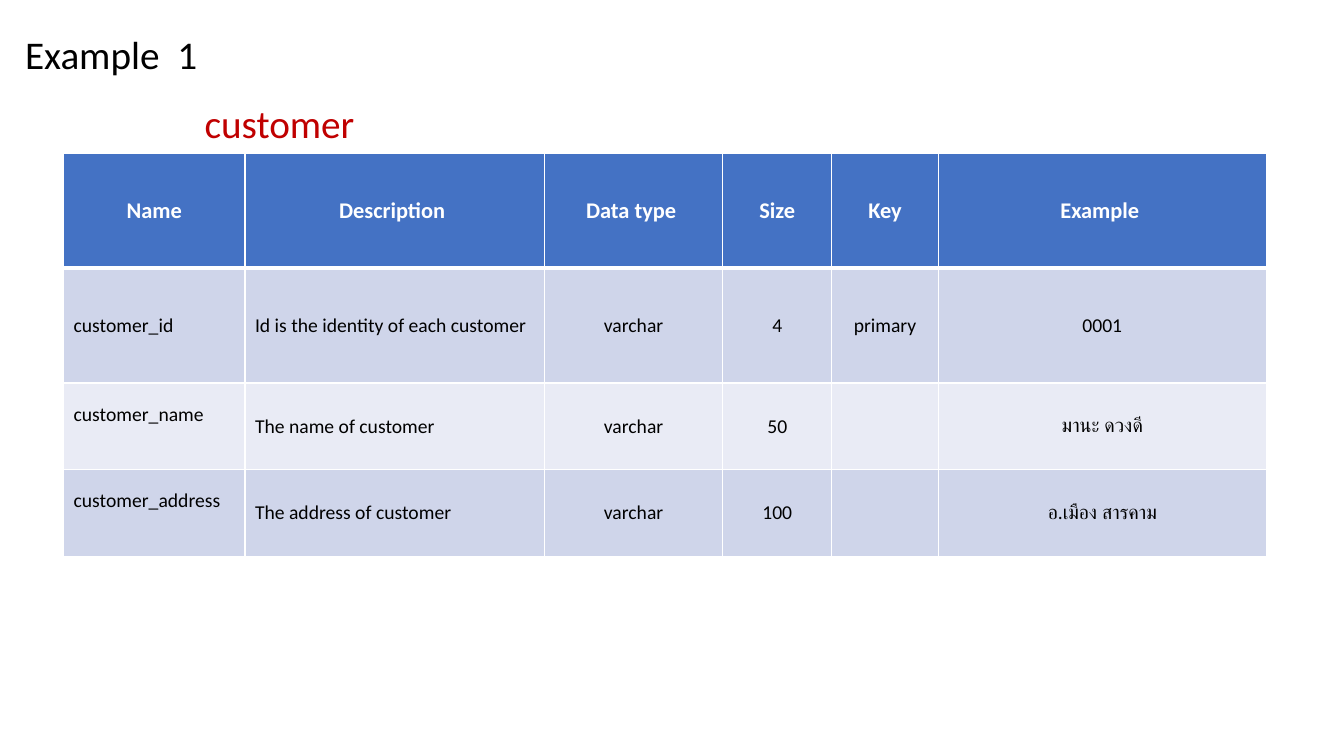
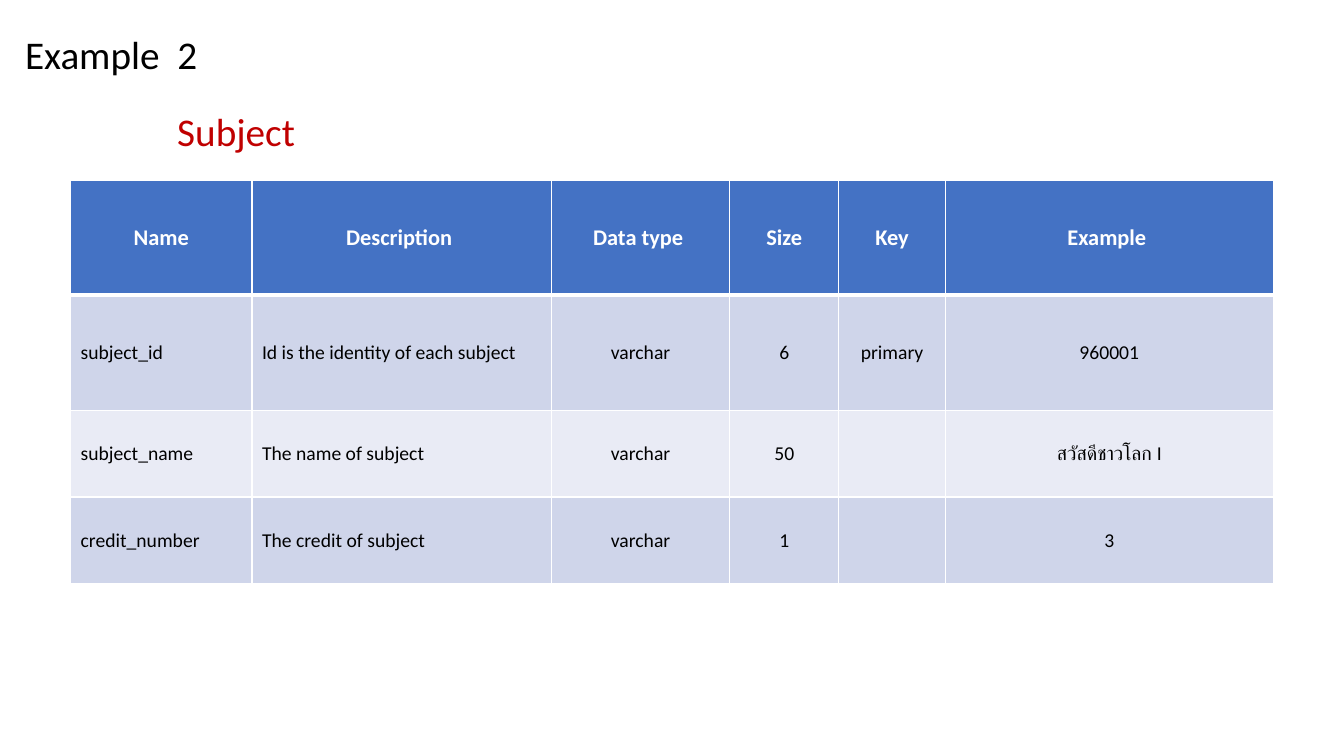
from lxml.etree import SubElement
from pptx import Presentation
from pptx.dml.color import RGBColor as Rgb
from pptx.enum.text import MSO_ANCHOR as Anchor, MSO_AUTO_SIZE as AutoSize, PP_ALIGN as Align
from pptx.oxml.ns import qn
from pptx.util import Inches, Pt

# Shared look
SLIDE_WIDTH, SLIDE_HEIGHT = Inches(13.33), Inches(7.5)
FONT = "Calibri"
COLORS = {
    "text": "000000",
    "caption": "C00000",
    "header": "4472C4",
    "odd_row": "CFD5EA",
    "even_row": "E9EBF5",
    "white": "FFFFFF",
}

# Table grid, in percent of the slide's width and height
COLUMNS = [13.5, 22.28, 13.28, 8.1, 7.95, 24.38]
ROWS = [15.2, 15.2, 11.47, 11.47]
HEADINGS = ["Name", "Description ", "Data type ", "Size", "Key", "Example "]
LEFT_COLUMNS = 2
LABEL_SIZE = (24.53, 7.6)
NUMBER_TAB = Inches(1.51)
RAISED_MARGIN = Inches(0.29)

# Content: places are left and top in percent of the slide
TABLES = [
    {
        "number": "1",
        "caption": "customer",
        "caption_at": (14.48, 12.53),
        "table_at": (4.73, 20.27),
        "raised_names": ("customer_name", "customer_address"),
        "rows": [
            ["customer_id", "Id is the identity of each customer", "varchar", "4", "primary", "0001"],
            ["customer_name", "The name of customer", "varchar", "50", "", "มานะ ดวงดี"],
            ["customer_address", "The address of customer", "varchar", "100", "", "อ.เมือง สารคาม"],
        ],
    },
    {
        "number": "2",
        "caption": "Subject",
        "caption_at": (12.45, 13.6),
        "table_at": (5.25, 23.87),
        "raised_names": (),
        "rows": [
            ["subject_id", "Id is the identity of each subject", "varchar", "6", "primary", "960001"],
            ["subject_name", "The name of subject", "varchar", "50", "", "สวัสดีชาวโลก I"],
            ["credit_number", "The credit of subject", "varchar", "1", "", "3"],
        ],
    },
]


def across(percent):
    return round(SLIDE_WIDTH * percent / 100)


def down(percent):
    return round(SLIDE_HEIGHT * percent / 100)


def write(para, text, size=14, color="text", bold=False, align=Align.LEFT):
    para.alignment = align
    span = para.add_run()
    span.text = text
    span.font.name = FONT
    span.font.size = Pt(size)
    span.font.bold = bold
    span.font.color.rgb = Rgb.from_string(COLORS[color])


def add_label(page, text, place, color="text", tab=None):
    left, top = place
    width, height = LABEL_SIZE
    box = page.shapes.add_textbox(across(left), down(top), across(width), down(height))
    frame = box.text_frame
    frame.word_wrap = True
    frame.auto_size = AutoSize.SHAPE_TO_FIT_TEXT
    para = frame.paragraphs[0]
    if tab:
        stops = SubElement(para._p.get_or_add_pPr(), qn("a:tabLst"))
        SubElement(stops, qn("a:tab"), pos=str(tab), algn="l")
    write(para, text, size=28, color=color)


def set_borders(cell, **widths):
    properties = cell._tc.get_or_add_tcPr()
    for side in "LRTB":
        line = SubElement(properties, qn(f"a:ln{side}"), w=str(Pt(widths.get(side, 1))))
        fill = SubElement(line, qn("a:solidFill"))
        SubElement(fill, qn("a:srgbClr"), val=COLORS["white"])


def paint(cell, color):
    cell.fill.solid()
    cell.fill.fore_color.rgb = Rgb.from_string(COLORS[color])


def fill_header(cell, text):
    set_borders(cell, B=3)
    paint(cell, "header")
    write(cell.text_frame.paragraphs[0], text, size=16, color="white", bold=True, align=Align.CENTER)


def fill_body(cell, text, row, column):
    set_borders(cell, T=3 if row == 1 else 1)
    paint(cell, "odd_row" if row % 2 else "even_row")
    if text:
        align = Align.LEFT if column < LEFT_COLUMNS else Align.CENTER
        write(cell.text_frame.paragraphs[0], text, align=align)


def add_dictionary(page, rows, place, raised_names):
    left, top = place
    frame = page.shapes.add_table(
        len(ROWS), len(COLUMNS), across(left), down(top), across(sum(COLUMNS)), down(sum(ROWS))
    )
    table = frame.table
    for column, width in zip(table.columns, COLUMNS):
        column.width = across(width)
    for row, height in zip(table.rows, ROWS):
        row.height = down(height)
    for row, values in enumerate([HEADINGS, *rows]):
        for column, text in enumerate(values):
            cell = table.cell(row, column)
            cell.vertical_anchor = Anchor.MIDDLE
            if row == 0:
                fill_header(cell, text)
            else:
                fill_body(cell, text, row, column)
            if text in raised_names:
                cell.margin_bottom = RAISED_MARGIN


def main():
    deck = Presentation()
    deck.slide_width, deck.slide_height = SLIDE_WIDTH, SLIDE_HEIGHT
    blank = deck.slide_layouts[6]
    for content in TABLES:
        page = deck.slides.add_slide(blank)
        add_dictionary(page, content["rows"], content["table_at"], content["raised_names"])
        add_label(page, f"Example\t{content['number']}", (1.13, 3.33), tab=NUMBER_TAB)
        add_label(page, content["caption"], content["caption_at"], color="caption")
    deck.save("out.pptx")


if __name__ == "__main__":
    main()
